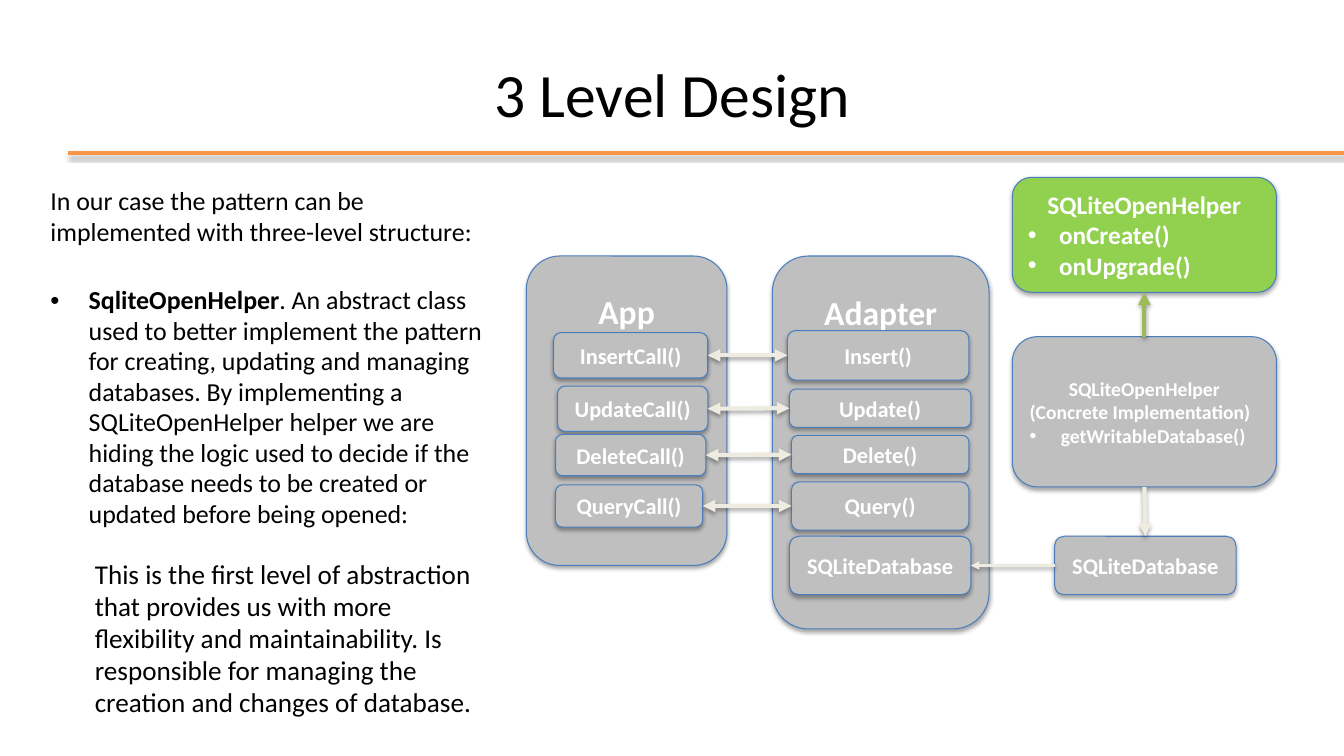
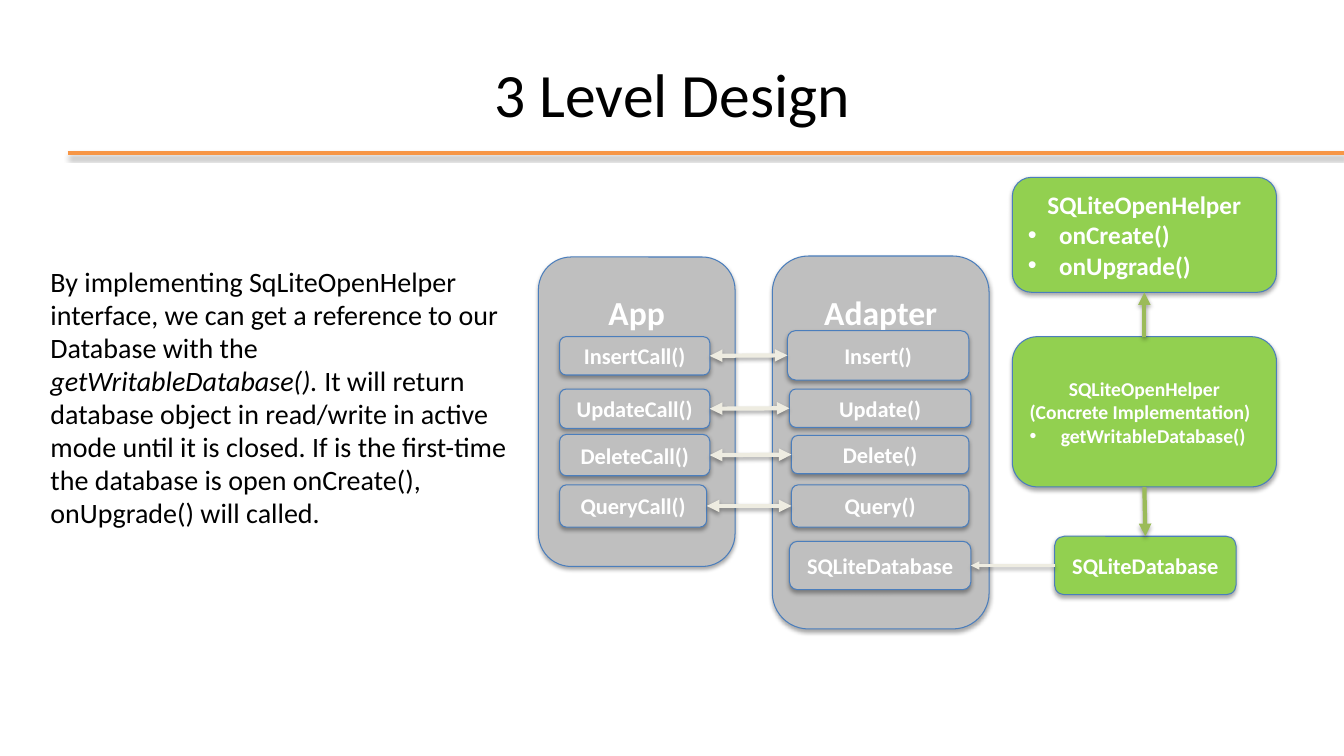
from dataclasses import dataclass

from lxml.etree import SubElement
from pptx import Presentation
from pptx.dml.color import RGBColor
from pptx.enum.shapes import MSO_CONNECTOR as Connector, MSO_SHAPE as Shape
from pptx.enum.text import MSO_ANCHOR as Anchor, MSO_AUTO_SIZE as AutoSize, PP_ALIGN as Align
from pptx.oxml.ns import qn
from pptx.util import Inches, Pt

FONT = "Calibri"
BLACK = RGBColor(0x00, 0x00, 0x00)
WHITE = RGBColor(0xFF, 0xFF, 0xFF)
ORANGE = RGBColor(0xF7, 0x96, 0x46)
BLUE = RGBColor(0x4B, 0x7E, 0xBC)
GREY = RGBColor(0xBF, 0xBF, 0xBF)
GREEN = RGBColor(0x92, 0xD0, 0x50)
OLIVE = RGBColor(0x9B, 0xBB, 0x59)
IVORY = RGBColor(0xEE, 0xEC, 0xE1)

TOP, LEFT, BOTTOM, RIGHT = range(4)
TITLE = "3 Level Design"
CALLS = ("InsertCall()", "UpdateCall()", "DeleteCall()", "QueryCall()")
METHODS = ("Insert()", "Update()", "Delete()", "Query()", "SQLiteDatabase")


@dataclass(frozen=True)
class Box:
    """A rectangle in inches."""

    left: float
    top: float
    width: float
    height: float

    def inside(self, left, top, width, height):
        """Return a box whose offset is measured from this one."""
        return Box(self.left + left, self.top + top, width, height)

    def lengths(self):
        """Return left, top, width and height as lengths."""
        return [Inches(value) for value in (self.left, self.top, self.width, self.height)]


SLIDE = Box(0, 0, 13.33, 7.5)
TITLE_BOX = Box(0.67, 0.3, 12, 1.25)
DIAGRAM = Box(5.2, 1.76, 7.46, 4.48)


@dataclass(frozen=True)
class Stage:
    """What changes in the diagram from slide to slide."""

    app: Box
    calls: tuple
    methods: tuple
    colour: RGBColor
    arrow: RGBColor


METHOD_ROWS = ((0.15, 0.74, 1.8, 0.49), (0.17, 1.32, 1.8, 0.38), (0.19, 1.78, 1.76, 0.38))
ABSTRACT_STAGE = Stage(
    DIAGRAM.inside(0.02, 0.78, 1.99, 3.07),
    ((0.27, 0.76, 1.53, 0.45), (0.31, 1.29, 1.49, 0.45),
     (0.29, 1.77, 1.49, 0.41), (0.29, 2.27, 1.46, 0.42)),
    METHOD_ROWS + ((0.19, 2.24, 1.76, 0.48), (0.17, 2.78, 1.8, 0.58)),
    GREY, IVORY)
CONCRETE_STAGE = Stage(
    DIAGRAM.inside(0.14, 0.79, 1.95, 3.07),
    ((0.21, 0.79, 1.49, 0.38), (0.21, 1.31, 1.49, 0.39),
     (0.21, 1.76, 1.49, 0.41), (0.21, 2.26, 1.46, 0.42)),
    METHOD_ROWS + ((0.19, 2.27, 1.76, 0.42), (0.17, 2.83, 1.8, 0.48)),
    GREEN, OLIVE)


def add_shadow(shape):
    """Give a shape or connector the soft shadow below it."""
    effects = SubElement(shape.element.spPr, qn("a:effectLst"))
    shadow = SubElement(effects, qn("a:outerShdw"), blurRad="40000", dist="23000",
                        dir="5400000", rotWithShape="0")
    colour = SubElement(shadow, qn("a:srgbClr"), val="000000")
    SubElement(colour, qn("a:alpha"), val="35000")


def style_paragraph(paragraph, size, colour, bold=None, align=Align.LEFT):
    """Set the font and alignment of a paragraph."""
    paragraph.alignment = align
    font = paragraph.font
    font.name, font.size, font.bold = FONT, Pt(size), bold
    font.color.rgb = colour


def set_indent(paragraph, indent, bullet=False):
    """Indent a paragraph, with a hanging bullet if asked."""
    properties = paragraph._p.get_or_add_pPr()
    properties.set("marL", str(Inches(indent)))
    properties.set("indent", str(-Inches(indent) if bullet else 0))
    if bullet:
        SubElement(properties, qn("a:buFont"), typeface="Arial")
        SubElement(properties, qn("a:buChar"), char="•")
    else:
        SubElement(properties, qn("a:buNone"))


def add_card(shapes, box, colour):
    """Add an empty rounded card."""
    card = shapes.add_shape(Shape.ROUNDED_RECTANGLE, *box.lengths())
    card.fill.solid()
    card.fill.fore_color.rgb = colour
    card.line.color.rgb = BLUE
    card.line.width = Pt(0.75)
    add_shadow(card)
    card.text_frame.word_wrap = True
    card.text_frame.vertical_anchor = Anchor.MIDDLE
    return card


def add_label(shapes, box, text, colour=GREY, size=16):
    """Add a card with one centred bold line."""
    card = add_card(shapes, box, colour)
    paragraph = card.text_frame.paragraphs[0]
    paragraph.text = text
    style_paragraph(paragraph, size, WHITE, True, Align.CENTER)
    return card


def add_class_card(shapes, box, colour, size, notes, methods):
    """Add a helper class card with its notes and bulleted methods."""
    card = add_label(shapes, box, "SQLiteOpenHelper", colour, size)
    for text in notes + methods:
        paragraph = card.text_frame.add_paragraph()
        paragraph.text = text
        if text in methods:
            set_indent(paragraph, 0.31, bullet=True)
        style_paragraph(paragraph, size, WHITE, True)
    return card


def add_panel(shapes, box, heading, labels, rows):
    """Add a panel with its heading on top and its stacked labels."""
    panel = add_label(shapes, box, heading, size=24)
    panel.text_frame.vertical_anchor = Anchor.TOP
    panel.text_frame.margin_top = Inches(0.25)
    return [add_label(shapes, box.inside(*row), text) for text, row in zip(labels, rows)]


def style_line(line, colour, width, ends=()):
    """Set colour, width, arrowheads and shadow of a connector."""
    line.line.color.rgb = colour
    line.line.width = Pt(width)
    outline = line.element.spPr.find(qn("a:ln"))
    for end in ends:
        SubElement(outline, qn(f"a:{end}"), type="triangle")
    add_shadow(line)


def join(shapes, start, start_site, end, end_site, colour, width=3, ends=("tailEnd",)):
    """Join two cards with an arrow glued to their sides."""
    arrow = shapes.add_connector(Connector.STRAIGHT, 0, 0, 0, 0)
    arrow.begin_connect(start, start_site)
    arrow.end_connect(end, end_site)
    style_line(arrow, colour, width, ends)


def add_diagram(slide, box, stage):
    """Draw the app, adapter and helper columns and their arrows."""
    shapes = slide.shapes.add_group_shape().shapes
    abstract = add_class_card(shapes, box.inside(4.84, 0, 2.62, 1.14), GREEN, 18,
                              (), ("onCreate()", "onUpgrade()"))
    concrete = add_class_card(shapes, box.inside(4.84, 1.58, 2.62, 1.49), stage.colour, 14,
                              ("(Concrete Implementation)",), ("getWritableDatabase()",))
    database = add_label(shapes, box.inside(5.26, 3.56, 1.8, 0.58),
                         "SQLiteDatabase", stage.colour)
    calls = add_panel(shapes, stage.app, "App", CALLS, stage.calls)
    methods = add_panel(shapes, box.inside(2.46, 0.78, 2.15, 3.7), "Adapter",
                        METHODS, stage.methods)
    for call, method in zip(calls, methods):
        join(shapes, call, RIGHT, method, LEFT, IVORY, ends=("headEnd", "tailEnd"))
    join(shapes, database, LEFT, methods[-1], RIGHT, IVORY, width=2)
    join(shapes, concrete, TOP, abstract, BOTTOM, OLIVE)
    join(shapes, concrete, BOTTOM, database, TOP, stage.arrow)


def place(shape, box):
    """Move a shape to a box."""
    shape.left, shape.top, shape.width, shape.height = box.lengths()


def add_body_paragraph(paragraph, runs, size, before=0, indent=0, bullet=False):
    """Fill a body paragraph with runs of text and an optional emphasis."""
    set_indent(paragraph, indent, bullet)
    for text, emphasis in runs:
        run = paragraph.add_run()
        run.text = text
        if emphasis:
            setattr(run.font, emphasis, True)
    paragraph.space_before = Pt(before)
    paragraph.line_spacing = 0.98
    style_paragraph(paragraph, size, BLACK)


def add_design_slide(presentation, layout, body_box, paragraphs, stage):
    """Add a slide with title, explanation and diagram."""
    slide = presentation.slides.add_slide(layout)
    title = slide.shapes.title.text_frame
    title.text = TITLE
    style_paragraph(title.paragraphs[0], 44, BLACK, align=Align.CENTER)
    body = slide.placeholders[1]
    place(body, body_box)
    frame = body.text_frame
    frame.auto_size = AutoSize.NONE
    for index, options in enumerate(paragraphs):
        paragraph = frame.add_paragraph() if index else frame.paragraphs[0]
        add_body_paragraph(paragraph, **options)
    add_diagram(slide, DIAGRAM, stage)
    return slide


def prepare_layout(layout):
    """Place the shared title on the layout."""
    place(layout.placeholders[0], TITLE_BOX)
    return layout


def add_title_rule(slide, layout):
    """Draw the rule under the title and keep it on the layout."""
    height = Inches(1.52)
    rule = slide.shapes.add_connector(Connector.STRAIGHT, Inches(TITLE_BOX.left), height,
                                      Inches(SLIDE.width), height)
    style_line(rule, ORANGE, 3)
    layout.shapes.element.append(rule.element)


def main():
    """Build and save the presentation."""
    presentation = Presentation()
    presentation.slide_width = Inches(SLIDE.width)
    presentation.slide_height = Inches(SLIDE.height)
    layout = prepare_layout(presentation.slide_layouts[1])
    first = add_design_slide(presentation, layout, SLIDE.inside(0.4, 1.8, 4.64, 5), (
        dict(size=18.5, runs=[(
            "In our case the pattern can be implemented with three-level structure:", None)]),
        dict(size=18.5, before=27, indent=0.38, bullet=True, runs=[
            ("SqliteOpenHelper", "bold"),
            (". An abstract class used to better implement the pattern for creating, updating "
             "and managing databases. By implementing a SQLiteOpenHelper helper we are hiding "
             "the logic used to decide if the database needs to be created or updated before "
             "being opened:", None)]),
        dict(size=19.4, before=21.6, indent=0.44, runs=[(
            "This is the first level of abstraction that provides us with more flexibility and "
            "maintainability. Is responsible for managing the creation and changes of "
            "database.", None)]),
    ), ABSTRACT_STAGE)
    add_title_rule(first, layout)
    add_design_slide(presentation, layout, SLIDE.inside(0.4, 2.59, 4.81, 3.66), (
        dict(size=20, runs=[
            ("By implementing SqLiteOpenHelper interface, we can get a reference to our "
             "Database with the ", None),
            ("getWritableDatabase(). ", "italic"),
            ("It will return database object in read/write in active mode until it is closed. "
             "If is the first-time the database is open onCreate(), onUpgrade() will called.",
             None)]),
    ), CONCRETE_STAGE)
    presentation.save("out.pptx")


if __name__ == "__main__":
    main()
